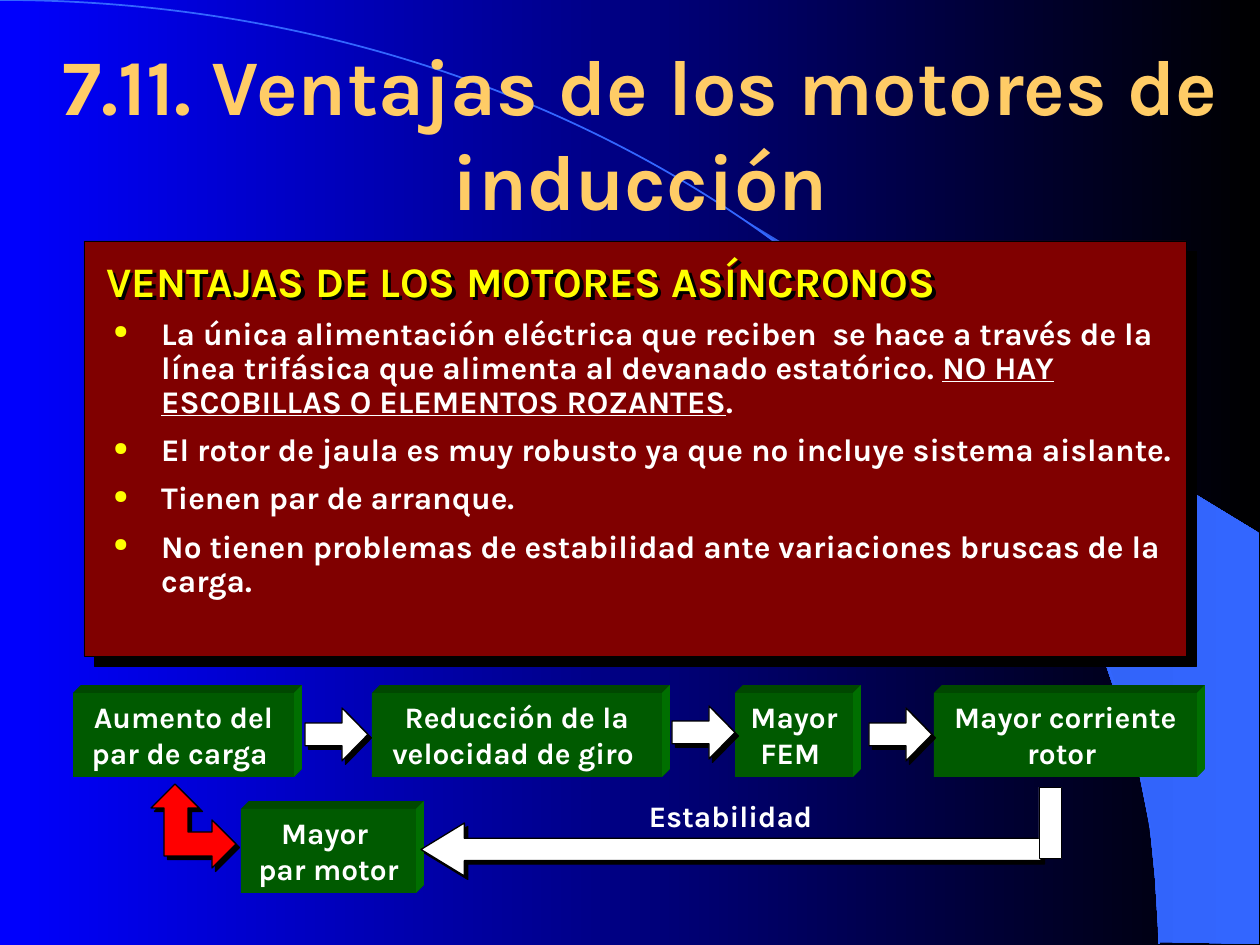
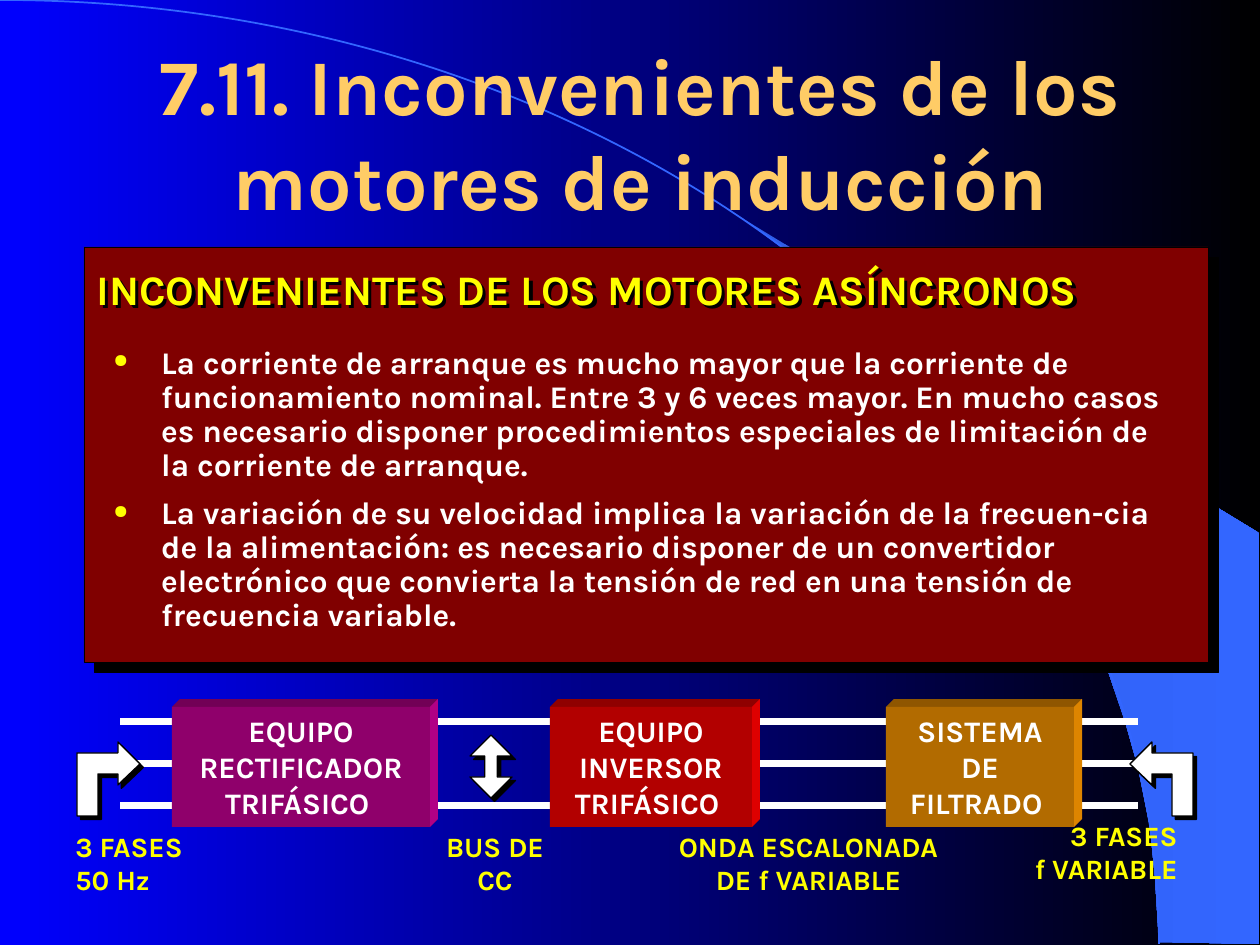
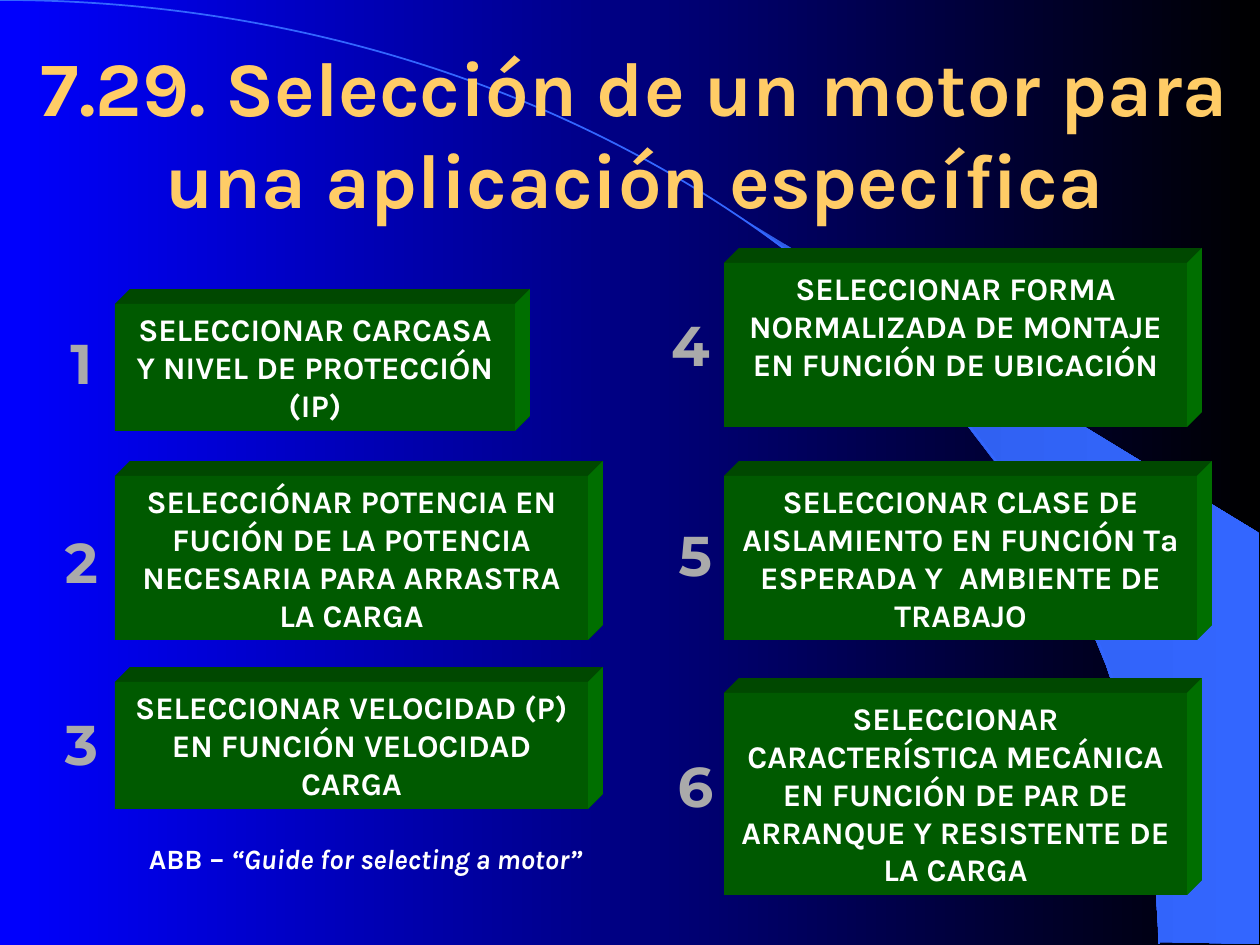
from lxml.etree import SubElement
from pptx import Presentation
from pptx.dml.color import RGBColor
from pptx.enum.shapes import MSO_CONNECTOR, MSO_SHAPE
from pptx.enum.text import MSO_ANCHOR, MSO_AUTO_SIZE, PP_ALIGN
from pptx.oxml.ns import qn
from pptx.util import Emu, Inches, Pt

EMU_PER_PX = 914400 / 126
WIDTH, HEIGHT = 1260, 945
FONT, NUMBER_FONT = "Karla", "Montserrat"

BLACK = RGBColor(0x00, 0x00, 0x00)
WHITE = RGBColor(0xFF, 0xFF, 0xFF)
YELLOW = RGBColor(0xFF, 0xFF, 0x00)
GRAY = RGBColor(0xAA, 0xAA, 0xAA)
BLUE = RGBColor(0x00, 0x00, 0xFF)
CRESCENT_DARK = RGBColor(0x2E, 0x5D, 0xE7)
CRESCENT_BLUE = RGBColor(0x33, 0x66, 0xFF)
TITLE_GOLD = RGBColor(0xFF, 0xCC, 0x66)
MAROON = RGBColor(0x80, 0x00, 0x00)
GREEN = RGBColor(0x00, 0x80, 0x00)
RED = RGBColor(0xFF, 0x00, 0x00)
PURPLE = RGBColor(0xCC, 0x00, 0x99)
ORANGE = RGBColor(0xFF, 0x99, 0x00)

FRONT_SHADE, TOP_SHADE, SIDE_SHADE = 0.7, 0.56, 0.87

CRESCENT = [
    (1159, 942), (1259, 944), (1259, 533), (742, 218), (786, 251), (823, 280),
    (863, 315), (902, 353), (960, 416), (1012, 484), (1048, 543), (1081, 604),
    (1106, 665), (1125, 721), (1138, 767), (1150, 827), (1155, 877),
]
ARC_CURVE = [(640, 0), (1159, 422), (1159, 944)]
UP_RIGHT_ARROW = [
    (236, 844), (212, 820), (212, 832), (188, 832), (188, 808), (199, 808),
    (175, 784), (151, 808), (164, 808), (164, 856), (212, 856), (212, 868),
]
INPUT_ARROW = [
    (140, 764), (118, 785), (118, 774), (98, 774), (98, 816),
    (77, 816), (77, 753), (118, 753), (118, 742),
]
OUTPUT_ARROW = [(1270 - x, y) for x, y in INPUT_ARROW]


def px(*lengths):
    return [Emu(round(length * EMU_PER_PX)) for length in lengths]


def shade(color, factor):
    return RGBColor(*(round(channel * factor) for channel in color))


def paint(shape, fill=None, line=None, line_width=0.75):
    shape.shadow.inherit = False
    if fill is None:
        shape.fill.background()
    else:
        shape.fill.solid()
        shape.fill.fore_color.rgb = fill
    if line is None:
        shape.line.fill.background()
    else:
        shape.line.color.rgb = line
        shape.line.width = Pt(line_width)


def paint_gradient(fill, first, last, angle=0, positions=(0, 1)):
    fill.gradient()
    fill.gradient_angle = angle
    for stop, color, position in zip(fill.gradient_stops, (first, last), positions):
        stop.color.rgb = color
        stop.position = position


def cast_shadow(shape, distance=2.8):
    """Give the shape a hard black shadow to the lower right."""
    shape.shadow.inherit = False
    effects = shape.element.spPr.find(qn("a:effectLst"))
    shadow = SubElement(effects, qn("a:outerShdw"), dist=str(Pt(distance)),
                        dir="2700000", algn="ctr", rotWithShape="0")
    SubElement(shadow, qn("a:srgbClr"), val=str(BLACK))


def format_run(run, size, color, font=FONT):
    run.font.name = font
    run.font.size = Pt(size)
    run.font.bold = True
    run.font.color.rgb = color


def write(frame, text, size, color, align=PP_ALIGN.CENTER, wrap=False, font=FONT):
    frame.text = text
    frame.word_wrap = wrap
    frame.auto_size = MSO_AUTO_SIZE.NONE
    for paragraph in frame.paragraphs:
        paragraph.alignment = align
        for run in paragraph.runs:
            format_run(run, size, color, font)


def add_label(page, area, text, size, color, align=PP_ALIGN.CENTER, **options):
    box = page.shapes.add_textbox(*px(*area))
    write(box.text_frame, text, size, color, align, **options)
    return box


def add_outline(page, points, closed=True):
    builder = page.shapes.build_freeform(*points[0], scale=EMU_PER_PX)
    builder.add_line_segments(points[1:], close=closed)
    return builder.convert_to_shape()


def add_curve(page, points):
    """Draw one cubic curve from the slide's top left corner."""
    curve = add_outline(page, [(0, 0), points[-1]], closed=False)
    segment = curve.element.spPr.find(".//" + qn("a:lnTo"))
    bend = SubElement(segment.getparent(), qn("a:cubicBezTo"))
    for x, y in points:
        SubElement(bend, qn("a:pt"), x=str(x), y=str(y))
    segment.getparent().remove(segment)
    return curve


def add_bent_arrow(page, points, fill=WHITE):
    arrow = add_outline(page, points)
    paint(arrow, fill, BLACK)
    cast_shadow(arrow)


def add_arrow(page, kind, area, adjustments):
    arrow = page.shapes.add_shape(kind, *px(*area))
    for index, value in enumerate(adjustments):
        arrow.adjustments[index] = value
    paint(arrow, WHITE, BLACK)
    cast_shadow(arrow)


def add_block(page, area, text, color=GREEN, size=17, depth=8, wrap=False):
    """Draw a labelled box whose top and right faces recede by depth."""
    left, top, width, height = area
    right, bottom = left + width, top + height
    back_top, back_right = top - depth, right + depth
    faces = add_outline(page, [
        (left, top), (left + depth, back_top), (back_right, back_top),
        (back_right, bottom - depth), (right, bottom), (right, top)])
    paint(faces)
    corner = (width + depth) / (width + height + 2 * depth)
    paint_gradient(faces.fill, shade(color, TOP_SHADE), shade(color, SIDE_SHADE),
                   315, (corner, corner))
    front = page.shapes.add_shape(MSO_SHAPE.RECTANGLE, *px(*area))
    paint(front, shade(color, FRONT_SHADE))
    front.text_frame.vertical_anchor = MSO_ANCHOR.TOP
    write(front.text_frame, text, size, WHITE, wrap=wrap)


def add_bullet(paragraph):
    properties = paragraph._p.get_or_add_pPr()
    properties.set("marL", str(Inches(0.38)))
    properties.set("indent", str(-Inches(0.38)))
    color = SubElement(properties, qn("a:buClr"))
    SubElement(color, qn("a:srgbClr"), val=str(YELLOW))
    SubElement(properties, qn("a:buSzPct"), val="60000")
    SubElement(properties, qn("a:buChar"), char="●")


def add_bullets(page, area, items):
    """Write one bullet per item; text between bars is underlined."""
    frame = page.shapes.add_textbox(*px(*area)).text_frame
    frame.word_wrap = True
    for number, item in enumerate(items):
        paragraph = frame.add_paragraph() if number else frame.paragraphs[0]
        add_bullet(paragraph)
        paragraph.line_spacing = 0.9
        if number:
            paragraph.space_before = Pt(8.1)
        for index, span in enumerate(item.split("|")):
            run = paragraph.add_run()
            run.text = span
            format_run(run, 18, WHITE)
            if index % 2:
                run.font.underline = True


def add_panel(page, area, heading, heading_area, bullets, bullets_area):
    panel = page.shapes.add_shape(MSO_SHAPE.RECTANGLE, *px(*area))
    paint(panel, MAROON, BLACK, 0.25)
    cast_shadow(panel, 8.5)
    add_bullets(page, bullets_area, bullets)
    label = add_label(page, heading_area, heading, 24, YELLOW, PP_ALIGN.LEFT, wrap=True)
    cast_shadow(label)


def add_wire(page, start, end, y):
    wire = page.shapes.add_connector(MSO_CONNECTOR.STRAIGHT, *px(start, y, end, y))
    wire.line.color.rgb = WHITE
    wire.line.width = Pt(4)
    SubElement(wire.element.spPr, qn("a:effectLst"))


def decorate_master(deck, page):
    """Draw the shared background on a page and move it to the master."""
    paint_gradient(deck.slide_master.background.fill, BLUE, BLACK)
    crescent = add_outline(page, CRESCENT)
    paint(crescent)
    paint_gradient(crescent.fill, CRESCENT_DARK, CRESCENT_BLUE)
    arc = add_curve(page, ARC_CURVE)
    paint(arc, None, CRESCENT_BLUE, 1)
    for number, shape in enumerate((crescent, arc), 101):
        shape.element.nvSpPr.cNvPr.set("id", str(number))
        deck.slide_master.shapes.element.append(shape.element)


def add_page(deck, title, area=(10, 53, 1260, 157), size=45):
    page = deck.slides.add_slide(deck.slide_layouts[5])
    box = page.shapes.title
    box.left, box.top, box.width, box.height = px(*area)
    write(box.text_frame, title, size, TITLE_GOLD, wrap=True)
    box.text_frame.vertical_anchor = MSO_ANCHOR.MIDDLE
    return page


def build_advantages(deck):
    page = add_page(deck, "7.11. Ventajas de los motores de inducción")
    decorate_master(deck, page)
    add_panel(page, (84, 241, 1102, 415),
              "VENTAJAS DE LOS MOTORES ASÍNCRONOS", (94, 249, 1018, 63), [
                  "La única alimentación eléctrica que reciben  se hace a través de la línea "
                  "trifásica que alimenta al devanado estatórico. "
                  "|NO HAY ESCOBILLAS O ELEMENTOS ROZANTES|.",
                  "El rotor de jaula es muy robusto ya que no incluye sistema aislante.",
                  "Tienen par de arranque.",
                  "No tienen problemas de estabilidad ante variaciones bruscas de la carga.",
              ], (101, 312, 1085, 220))
    for left, top, width, text in (
            (73, 693, 221, "Aumento del\npar de carga "),
            (372, 693, 290, "Reducción de la\nvelocidad de giro "),
            (735, 693, 118, "Mayor\nFEM "),
            (934, 693, 263, "Mayor corriente\nrotor "),
            (241, 809, 175, "Mayor \npar motor")):
        add_block(page, (left, top, width, 84), text)
    for left, top in ((305, 708), (672, 706), (869, 708)):
        add_arrow(page, MSO_SHAPE.RIGHT_ARROW, (left, top, 63, 53), (0.43, 0.49))
    add_bent_arrow(page, UP_RIGHT_ARROW, RED)
    add_arrow(page, MSO_SHAPE.LEFT_ARROW, (421, 823, 620, 53), (0.42, 0.82))
    return_stem = page.shapes.add_shape(MSO_SHAPE.RECTANGLE, *px(1039, 787, 23, 72))
    paint(return_stem, WHITE, BLACK, 0.5)
    add_label(page, (598, 792, 273, 48), "Estabilidad ", 17, WHITE, wrap=True)


def build_drawbacks(deck):
    page = add_page(deck, "7.11. Inconvenientes de los motores de inducción")
    add_panel(page, (84, 247, 1124, 415),
              "INCONVENIENTES DE LOS MOTORES ASÍNCRONOS", (84, 257, 1124, 63), [
                  "La corriente de arranque es mucho mayor que la corriente de funcionamiento "
                  "nominal. Entre 3 y 6 veces mayor. En mucho casos es necesario disponer "
                  "procedimientos especiales de limitación de la corriente de arranque.",
                  "La variación de su velocidad implica la variación de la frecuen-cia de la "
                  "alimentación: es necesario disponer de un convertidor electrónico que "
                  "convierta la tensión de red en una tensión de frecuencia variable.",
              ], (101, 341, 1085, 220))
    for y, input_end in ((722, 602), (764, 183), (806, 645)):
        add_wire(page, input_end, 120, y)
        add_wire(page, 1138, 728, y)
    for left, width, color, text in (
            (172, 258, PURPLE, "EQUIPO\nRECTIFICADOR\nTRIFÁSICO "),
            (550, 202, RED, "EQUIPO\nINVERSOR\nTRIFÁSICO "),
            (886, 188, ORANGE, "SISTEMA\nDE\nFILTRADO ")):
        add_block(page, (left, 707, width, 120), text, color)
    for left, top, width, align, text in (
            (63, 823, 140, PP_ALIGN.LEFT, "3 FASES\n50 Hz"),
            (1002, 812, 188, PP_ALIGN.RIGHT, "3 FASES\nf VARIABLE"),
            (430, 823, 130, PP_ALIGN.CENTER, "BUS DE\nCC"),
            (654, 823, 309, PP_ALIGN.CENTER, "ONDA ESCALONADA\nDE f VARIABLE")):
        add_label(page, (left, top, width, 81), text, 16, YELLOW, align)
    for points in (INPUT_ARROW, OUTPUT_ARROW):
        add_bent_arrow(page, points)
    add_arrow(page, MSO_SHAPE.UP_DOWN_ARROW, (470, 735, 42, 63), (0.5, 0.3))


def add_step(page, number, area, text, number_corner):
    add_block(page, area, text, size=18, depth=15, wrap=True)
    label = add_label(page, (*number_corner, 37, 78), str(number), 32, GRAY, font=NUMBER_FONT)
    label.text_frame.paragraphs[0].runs[0].font._element.set("spc", "640")


def build_selection(deck):
    page = add_page(deck, "7.29. Selección de un motor para una aplicación específica",
                    (21, 53, 1228, 157), 44)
    steps = (
        ((115, 304, 400, 127), (63, 322), "SELECCIONAR CARCASA Y NIVEL DE PROTECCIÓN (IP)"),
        ((115, 476, 473, 164), (63, 521),
         "SELECCIÓNAR POTENCIA EN FUCIÓN DE LA POTENCIA NECESARIA PARA ARRASTRA LA CARGA"),
        ((115, 682, 473, 127), (63, 703),
         "SELECCIONAR VELOCIDAD (P) EN FUNCIÓN VELOCIDAD CARGA"),
        ((724, 263, 463, 164), (672, 304),
         "SELECCIONAR FORMA NORMALIZADA DE MONTAJE EN FUNCIÓN DE UBICACIÓN"),
        ((724, 476, 473, 164), (677, 514),
         "SELECCIONAR CLASE DE AISLAMIENTO EN FUNCIÓN Tª ESPERADA Y  AMBIENTE DE TRABAJO"),
        ((724, 693, 463, 202), (677, 745),
         "SELECCIONAR CARACTERÍSTICA MECÁNICA EN FUNCIÓN DE PAR DE ARRANQUE Y RESISTENTE "
         "DE LA CARGA"),
    )
    for number, (area, number_corner, text) in enumerate(steps, 1):
        add_step(page, number, area, text, number_corner)
    reference = add_label(page, (101, 835, 529, 47), "ABB – ", 16, WHITE)
    guide = reference.text_frame.paragraphs[0].add_run()
    guide.text = "“Guide for selecting a motor”"
    format_run(guide, 16, WHITE)
    guide.font.italic = True


def main():
    deck = Presentation()
    deck.slide_width, deck.slide_height = px(WIDTH, HEIGHT)
    build_advantages(deck)
    build_drawbacks(deck)
    build_selection(deck)
    deck.save("out.pptx")


if __name__ == "__main__":
    main()
